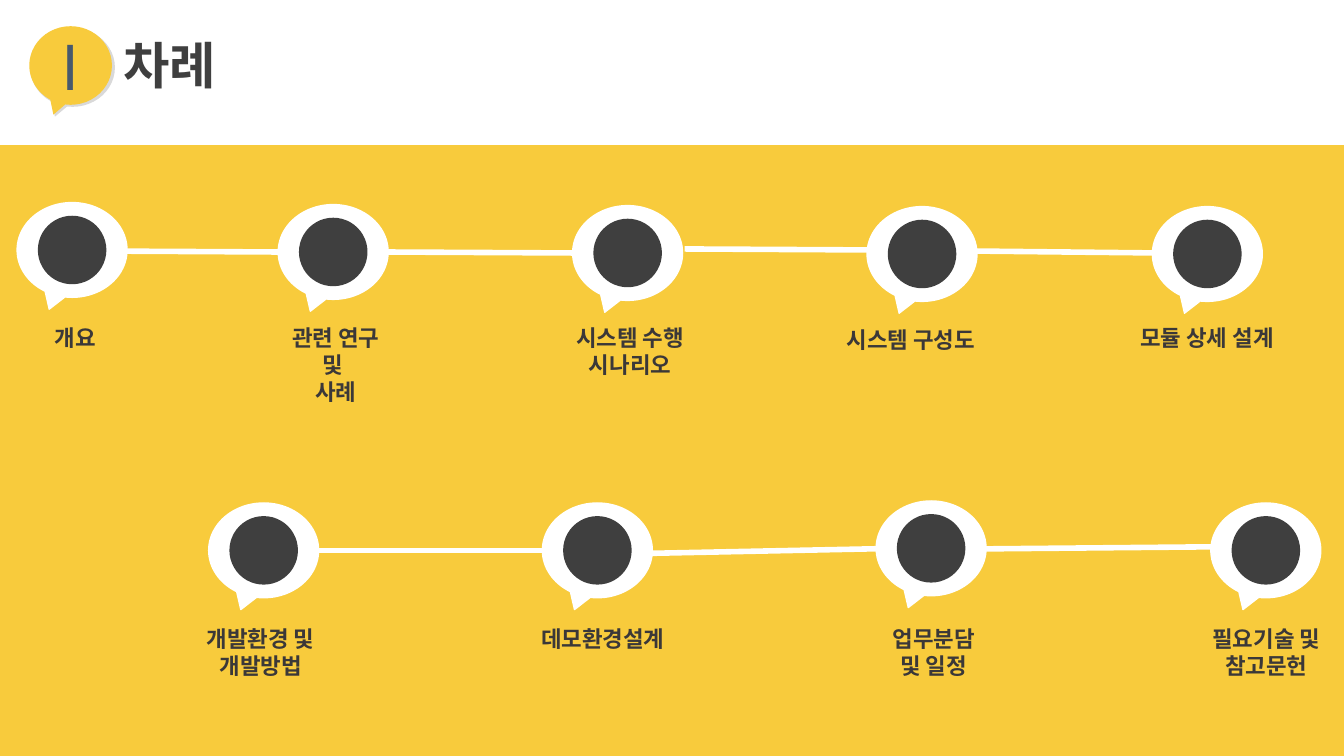
from lxml.etree import SubElement
from pptx import Presentation
from pptx.dml.color import RGBColor
from pptx.enum.shapes import MSO_CONNECTOR, MSO_SHAPE
from pptx.enum.text import MSO_ANCHOR, MSO_AUTO_SIZE, PP_ALIGN
from pptx.oxml.ns import qn
from pptx.util import Inches, Pt

FONT = "Noto Sans CJK KR"
YELLOW, WHITE, DARK, LABEL = "F8CB3C", "FFFFFF", "3F3F3F", "3B3838"
BUBBLE_W, BUBBLE_H, DOT = 1.09, 0.94, 0.68

TOPICS = [
    ((0.17, 2.01), (0.1, 3.17, 1.29, 0.37), "개요"),
    ((2.76, 2.03), (2.61, 3.17, 1.44, 0.91), "관련 연구\n및 \n사례"),
    ((5.68, 2.04), (5.53, 3.17, 1.44, 0.63), "시스템 수행 시나리오"),
    ((8.6, 2.05), (8.23, 3.19, 1.61, 0.37), "시스템 구성도"),
    ((11.43, 2.05), (11.03, 3.17, 1.88, 0.37), "모듈 상세 설계"),
    ((2.07, 4.99), (1.88, 6.15, 1.41, 0.62), "개발환경 및 개발방법"),
    ((5.38, 4.99), (5.17, 6.15, 1.62, 0.37), "데모환경설계"),
    ((8.69, 4.97), (8.57, 6.15, 1.38, 0.62), "업무분담\n및 일정"),
    ((12.01, 4.99), (11.82, 6.15, 1.48, 0.62), "필요기술 및 참고문헌"),
]
LINKS = [
    (0.87, 2.49, 2.78, 2.5),
    (3.83, 2.5, 5.74, 2.51),
    (6.79, 2.47, 8.69, 2.48),
    (9.6, 2.49, 11.51, 2.51),
    (2.78, 5.46, 5.59, 5.46),
    (5.93, 5.5, 8.9, 5.44),
    (9.24, 5.45, 12.57, 5.42),
]


def color(hex_code):
    """Turn a hex string into a colour."""
    return RGBColor.from_string(hex_code)


def write(shape, text, size, ink, bold=False, align=PP_ALIGN.CENTER, wrap=True,
          anchor=MSO_ANCHOR.TOP):
    """Fill a shape with formatted text, one paragraph a line."""
    frame = shape.text_frame
    frame.text = text
    frame.word_wrap = wrap
    frame.auto_size = MSO_AUTO_SIZE.NONE
    frame.vertical_anchor = anchor
    for paragraph in frame.paragraphs:
        paragraph.alignment = align
        for run in paragraph.runs:
            run.font.name = FONT
            run.font.size = Pt(size)
            run.font.bold = bold
            run.font.color.rgb = color(ink)
            SubElement(run.font._element, qn("a:ea"), typeface=FONT)


def add_solid(shapes, kind, box, fill, outline=None):
    """Add a flat filled shape, with an outline if a colour is given."""
    solid = shapes.add_shape(kind, *map(Inches, box))
    solid.shadow.inherit = False
    solid.fill.solid()
    solid.fill.fore_color.rgb = color(fill)
    if outline:
        solid.line.color.rgb = color(outline)
        solid.line.width = Pt(1)
    else:
        solid.line.fill.background()
    return solid


def add_bubble(shapes, box, fill, outline=None):
    """Add a round speech bubble with its tail at lower left."""
    bubble = add_solid(shapes, MSO_SHAPE.OVAL_CALLOUT, box, fill, outline)
    bubble.adjustments[0] = -0.208
    bubble.adjustments[1] = 0.625
    return bubble


def add_link(slide, ends):
    """Add a thick white line between two topics."""
    link = slide.shapes.add_connector(MSO_CONNECTOR.STRAIGHT, *map(Inches, ends))
    link.line.color.rgb = color(WHITE)
    link.line.width = Pt(4)
    SubElement(link._element.spPr, qn("a:effectLst"))


def add_topic(slide, corner, label_box, text):
    """Add a bubble with a dark dot and the label beneath it."""
    left, top = corner
    marker = slide.shapes.add_group_shape().shapes
    add_bubble(marker, (left, top, BUBBLE_W, BUBBLE_H), WHITE, WHITE)
    dot_box = (left + (BUBBLE_W - DOT) / 2, top + (BUBBLE_H - DOT) / 2, DOT, DOT)
    add_solid(marker, MSO_SHAPE.OVAL, dot_box, DARK)
    label = slide.shapes.add_textbox(*map(Inches, label_box))
    write(label, text, 16, LABEL, bold=True)


def add_heading(slide):
    """Place the title and its numbered bubble."""
    title = slide.shapes.title
    title.left, title.top = Inches(1.12), Inches(0.29)
    title.width, title.height = Inches(1.18), Inches(0.71)
    write(title, "차례", 36, DARK, bold=True, align=PP_ALIGN.LEFT, wrap=False)
    badge = slide.shapes.add_group_shape().shapes
    add_bubble(badge, (0.3, 0.28, 0.84, 0.78), "D9D9D9")
    number = add_bubble(badge, (0.29, 0.26, 0.82, 0.78), YELLOW)
    write(number, "I", 44, "48596D", anchor=MSO_ANCHOR.MIDDLE)


def main():
    """Build the contents slide."""
    deck = Presentation()
    deck.slide_width, deck.slide_height = Inches(13.33), Inches(7.5)
    slide = deck.slides.add_slide(deck.slide_layouts[5])
    add_solid(slide.shapes, MSO_SHAPE.RECTANGLE, (0, 1.44, 13.33, 6.06), YELLOW)
    add_heading(slide)
    for ends in LINKS:
        add_link(slide, ends)
    for corner, label_box, text in TOPICS:
        add_topic(slide, corner, label_box, text)
    deck.save("out.pptx")


if __name__ == "__main__":
    main()
